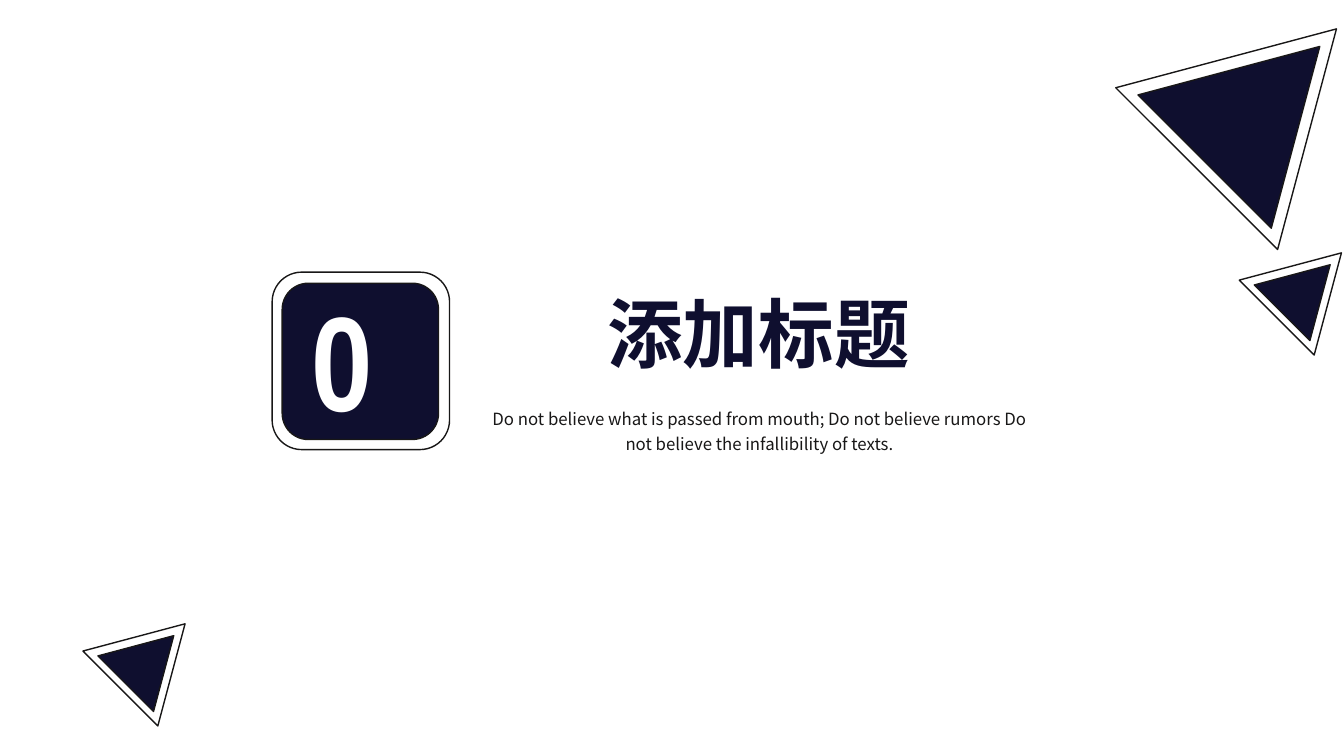
from pptx import Presentation
from pptx.dml.color import RGBColor
from pptx.enum.shapes import MSO_SHAPE as Kind
from pptx.enum.text import MSO_AUTO_SIZE as Fit, PP_ALIGN as Align
from pptx.oxml.ns import qn
from pptx.util import Inches, Pt
from lxml.etree import SubElement as Sub

NAVY = RGBColor(0x0F, 0x0F, 0x2F)
INK = RGBColor(0x18, 0x17, 0x17)
WHITE = RGBColor(0xFF, 0xFF, 0xFF)
WIDE, HIGH = Inches(13.33), Inches(7.5)
SANS = "Noto Sans CJK SC"
TALL = 1.535


def place(x, y, w, h):
    return [round(n * side / 100) for n, side in zip((x, y, w, h), (WIDE, HIGH) * 2)]


def style(item, form):
    for key, value in form.items():
        setattr(item, key, value)


def shape(host, kind, box, fill=None, turn=0):
    item = host.shapes.add_shape(kind, *place(*box))
    style(item, {"rotation": turn})
    item.shadow.inherit = False
    if fill is None:
        item.fill.background()
    else:
        item.fill.solid()
        item.fill.fore_color.rgb = fill
    item.line.color.rgb = INK
    item.line.width = Pt(1)
    return item


def label(slide, words, box, color, font, para=None, wrap=True, track=None):
    frame = slide.shapes.add_textbox(*place(*box)).text_frame
    style(frame, {"word_wrap": wrap, "auto_size": Fit.SHAPE_TO_FIT_TEXT})
    line = frame.paragraphs[0]
    style(line, para or {})
    run = line.add_run()
    run.text = words
    style(run.font, font)
    run.font.color.rgb = color
    props = run.font._element
    Sub(props, qn("a:ea")).set("typeface", font["name"])
    if track:
        props.set("spc", str(track))


def badge(slide):
    shape(slide, Kind.ROUNDED_RECTANGLE, (21, 37.47, 11.63, 20.67), NAVY)
    label(slide, "01", (22.43, 36, 10.65, 22.67), WHITE,
          {"name": "Arial Narrow", "size": Pt(96), "bold": True}, track=300)
    shape(slide, Kind.ROUNDED_RECTANGLE, (20.25, 36, 13.2, 23.47))


def wedge(slide, x, y, outer, inner):
    group = slide.shapes.add_group_shape()
    gap = (outer - inner) * TALL
    for mid, top, w, fill in ((x - 0.07 * gap, y + 0.15 * gap, inner, NAVY),
                              (x, y, outer, None)):
        h = w * TALL
        shape(group, Kind.ISOSCELES_TRIANGLE, (mid - w / 2, top - h / 2, w, h), fill, 45)


def main():
    deck = Presentation()
    style(deck, {"slide_width": WIDE, "slide_height": HIGH})
    slide = deck.slides.add_slide(deck.slide_layouts[6])
    badge(slide)
    for x, y, outer, inner in ((94.24, 13.07, 17.03, 14.03),
                               (97.4, 37.73, 7.88, 5.85),
                               (11.36, 86.8, 7.88, 5.85)):
        wedge(slide, x, y, outer, inner)
    label(slide, "添加标题", (44.33, 37.33, 24.23, 13.47), NAVY,
          {"name": SANS, "size": Pt(54), "bold": True},
          {"alignment": Align.CENTER}, wrap=False)
    label(slide, "Do not believe what is passed from mouth; Do not believe rumors "
          "Do not believe the infallibility of texts.",
          (34.88, 52.93, 43.28, 7.87), INK, {"name": SANS, "size": Pt(12)},
          {"alignment": Align.CENTER, "line_spacing": 1.2})
    deck.save("out.pptx")


if __name__ == "__main__":
    main()
